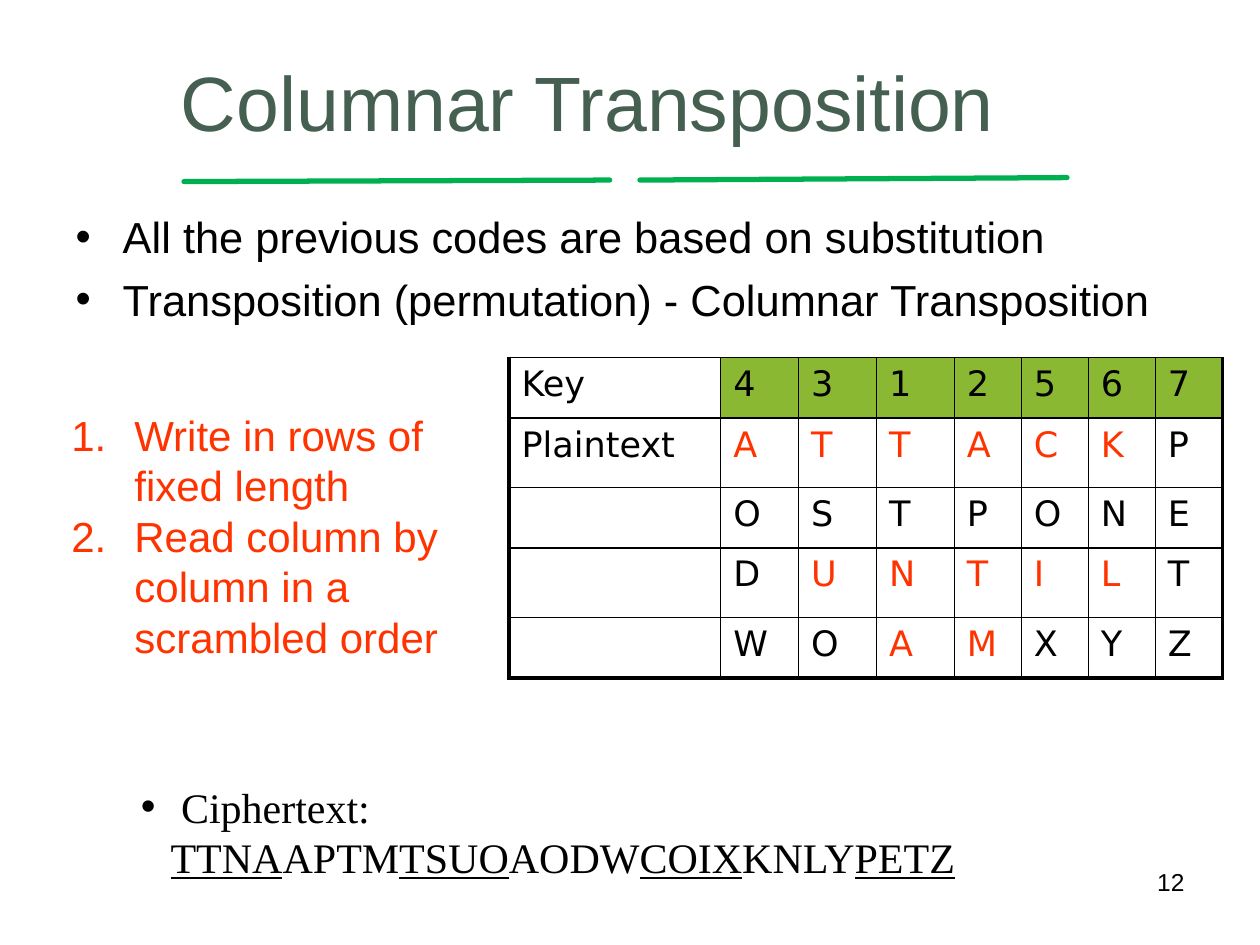
from dataclasses import dataclass
from lxml.etree import SubElement
from pptx import Presentation
from pptx.dml.color import RGBColor
from pptx.enum.text import MSO_ANCHOR, MSO_AUTO_SIZE, PP_ALIGN
from pptx.enum.shapes import MSO_CONNECTOR
from pptx.oxml import parse_xml
from pptx.oxml.ns import nsdecls, qn
from pptx.util import Cm, Pt


@dataclass(frozen=True)
class Theme:
    ink: str = "000000"
    head: str = "455F51"
    rule: str = "00B050"
    key: str = "8AB833"
    red: str = "FF3300"
    sans: str = "Arial"
    serif: str = "Times New Roman"
    grid: str = "DejaVu Sans"
    title: float = 44
    body: float = 24.8
    note: float = 24
    cell: float = 20
    page: float = 14
    thin: float = 1
    thick: float = 2.25


class Deck:
    def __init__(self, theme):
        self.theme = theme
        self.file = Presentation()
        self.file.slide_width, self.file.slide_height = Cm(25.4), Cm(19.05)
        self.slide = self.file.slides.add_slide(self.file.slide_layouts[1])

    def style(self, para, face, size, tint):
        para.font.name, para.font.size = face, Pt(size)
        para.font.color.rgb = RGBColor.from_string(tint)

    def bullet(self, para, indent, tag, **marks):
        props = para._p.get_or_add_pPr()
        props.set("marL", str(Cm(indent)))
        props.set("indent", str(-Cm(indent)))
        SubElement(props, qn("a:buFont"), typeface=self.theme.sans)
        SubElement(props, qn(tag), **marks)

    def place(self, shape, box):
        shape.left, shape.top, shape.width, shape.height = map(Cm, box)
        frame = shape.text_frame
        frame.word_wrap, frame.auto_size = True, MSO_AUTO_SIZE.NONE
        return frame

    def title(self, text, box):
        frame = self.place(self.slide.shapes.title, box)
        frame.text, frame.vertical_anchor = text, MSO_ANCHOR.MIDDLE
        para = frame.paragraphs[0]
        para.alignment = PP_ALIGN.CENTER
        self.style(para, self.theme.sans, self.theme.title, self.theme.head)

    def body(self, lines, box):
        frame = self.place(self.slide.placeholders[1], box)
        frame.text = "\n".join(lines)
        for para in frame.paragraphs:
            self.bullet(para, 0.95, "a:buChar", char="•")
            para.space_before = Pt(6)
            self.style(para, self.theme.sans, self.theme.body, self.theme.ink)

    def text(self, box):
        return self.place(self.slide.shapes.add_textbox(*map(Cm, box)), box)

    def steps(self, lines, box):
        frame = self.text(box)
        frame.text = "\n".join(lines)
        for para in frame.paragraphs:
            self.bullet(para, 1.27, "a:buAutoNum", type="arabicPeriod")
            self.style(para, self.theme.sans, self.theme.note, self.theme.red)

    def cipher(self, label, groups, box):
        para = self.text(box).paragraphs[0]
        self.bullet(para, 0.6, "a:buChar", char="•")
        self.style(para, self.theme.serif, self.theme.note, self.theme.ink)
        para.add_run().text = label
        for i, group in enumerate(groups):
            run = para.add_run()
            run.text, run.font.underline = group, i % 2 == 0

    def number(self, text, box):
        frame = self.text(box)
        frame.text = text
        para = frame.paragraphs[0]
        para.alignment = PP_ALIGN.RIGHT
        self.style(para, self.theme.sans, self.theme.page, self.theme.ink)

    def line(self, *ends):
        rule = self.slide.shapes.add_connector(MSO_CONNECTOR.STRAIGHT, *map(Cm, ends))
        rule.line.color.rgb = RGBColor.from_string(self.theme.rule)
        rule.line.width = Pt(3)
        rule.line._get_or_add_ln().set("cap", "rnd")
        SubElement(rule._element.spPr, qn("a:effectLst"))

    def border(self, cell, widths):
        props = cell._tc.get_or_add_tcPr()
        for i, (side, width) in enumerate(zip("LRTB", widths)):
            props.insert(i, parse_xml(
                f'<a:ln{side} {nsdecls("a")} w="{Pt(width)}"><a:solidFill>'
                f'<a:srgbClr val="{self.theme.ink}"/></a:solidFill></a:ln{side}>'))

    def table(self, rows, cols, heights, box):
        look = self.theme
        table = self.slide.shapes.add_table(
            len(rows), len(cols), *map(Cm, box)).table
        table.first_row = table.horz_banding = False
        for col, width in zip(table.columns, cols):
            col.width = Cm(width)
        for row, height in zip(table.rows, heights):
            row.height = Cm(height)
        for r, (label, letters, reds) in enumerate(rows):
            for c, text in enumerate([label, *letters]):
                cell = table.cell(r, c)
                cell.text = text
                tint = look.red if c in reds else look.ink
                self.style(cell.text_frame.paragraphs[0], look.grid, look.cell, tint)
                if r == 0 and c > 0:
                    cell.fill.solid()
                    cell.fill.fore_color.rgb = RGBColor.from_string(look.key)
                else:
                    cell.fill.background()
                edges = c == 0, c == len(cols) - 1, False, r == len(rows) - 1
                self.border(cell, [look.thick if edge else look.thin for edge in edges])


def main():
    deck = Deck(Theme())
    deck.line(3.71, 3.66, 12.29, 3.63)
    deck.line(12.9, 3.63, 21.51, 3.58)
    deck.title("Columnar Transposition", (1.27, 0.53, 21.16, 3))
    deck.body(["All the previous codes are based on substitution",
               "Transposition (permutation) - Columnar Transposition"],
              (1.27, 4.11, 22.86, 3.4))
    deck.number("12", (18.21, 17.35, 5.92, 1.32))
    rows = [("Key", "4312567", ()),
            ("Plaintext", "ATTACKP", range(1, 7)),
            ("", "OSTPONE", ()),
            ("", "DUNTILT", range(2, 7)),
            ("", "WOAMXYZ", range(3, 5))]
    deck.table(rows, [4.27] + [1.57] * 3 + [1.35] * 4,
               [1.22, 1.4, 1.22, 1.4, 1.22], (10.26, 7.21, 14.38, 6.46))
    deck.cipher(" Ciphertext: ",
                ["TTNA", "APTM", "TSUO", "AODW", "COIX", "KNLY", "PETZ"],
                (2.59, 15.62, 20.93, 1.27))
    deck.steps(["Write in rows of fixed length",
                "Read column by column in a scrambled order"],
               (1.19, 8.13, 8.71, 5.33))
    deck.file.save("out.pptx")


if __name__ == "__main__":
    main()
